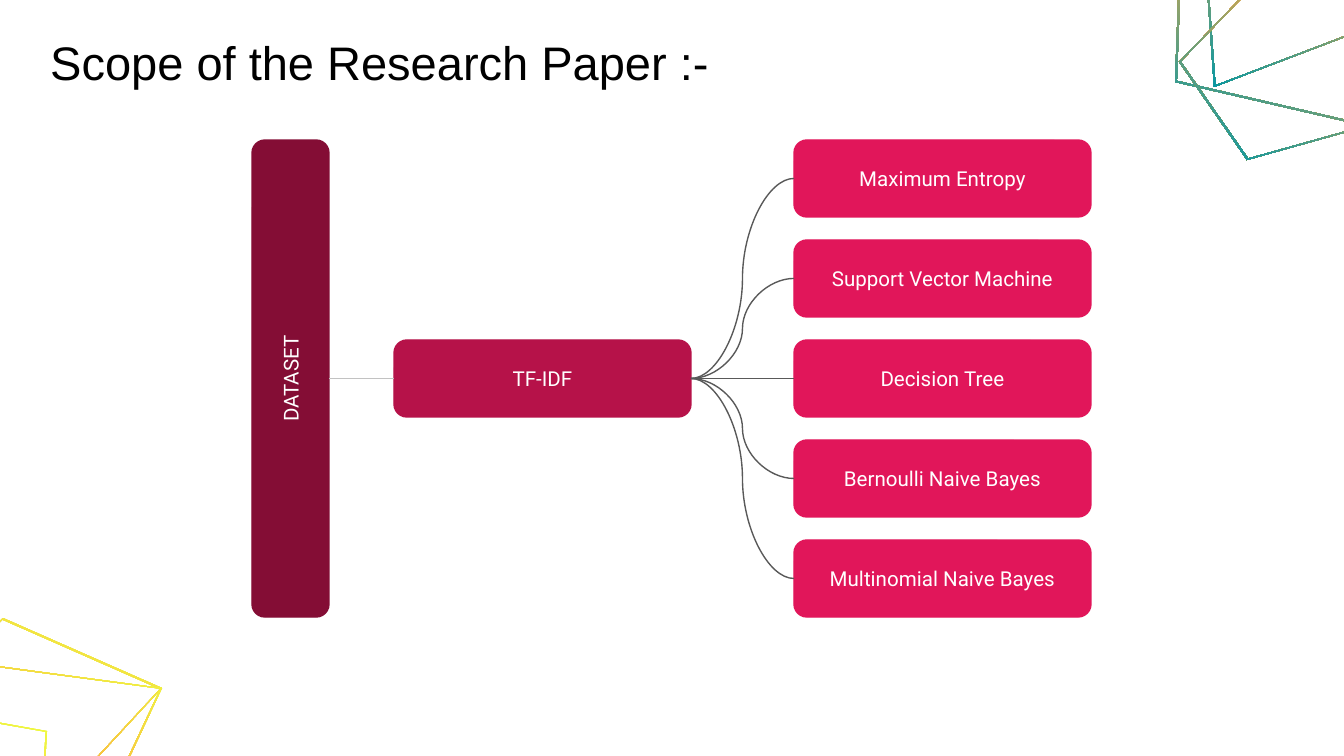
import copy

import pptx
import pptx.util
import pptx.dml.color
import pptx.enum.shapes
import pptx.enum.text
import pptx.oxml.ns
import lxml.etree

PX = 6804
RGB = pptx.dml.color.RGBColor
SHAPE = pptx.enum.shapes.MSO_SHAPE
CONNECTOR = pptx.enum.shapes.MSO_CONNECTOR
ALIGN = pptx.enum.text.PP_ALIGN

WHITE = RGB(0xFF, 0xFF, 0xFF)
BLACK = RGB(0x00, 0x00, 0x00)
MAROON = RGB(0x84, 0x0D, 0x35)
CRIMSON = RGB(0xB6, 0x12, 0x49)
PINK = RGB(0xE1, 0x16, 0x5A)
PALE_GREY = RGB(0xC2, 0xC2, 0xC2)
DARK_GREY = RGB(0x59, 0x59, 0x59)
YELLOW = RGB(0xEE, 0xFF, 0x41)
ORANGE = RGB(0xFF, 0xAB, 0x40)
TEAL = RGB(0x00, 0x97, 0xA7)

NODE_W, NODE_H = 297, 77
MODELS = [
    "Maximum Entropy",
    "Support Vector Machine",
    "Decision Tree",
    "Bernoulli Naive Bayes",
    "Multinomial Naive Bayes",
]
TOP_RIGHT_FRAMES = [
    [(64, 87), (42, -224), (425, -171), (355, -24)],
    [(25, 82), (31, -81), (257, -161), (382, -142), (378, -63), (250, 134)],
    [(97, 160), (29, 62), (262, -180), (448, -103), (254, 116)],
]
BOTTOM_LEFT_FRAMES = [
    [(-267, 318), (-258, 177), (-60, 112), (47, 131), (43, 200), (-73, 369)],
    [(-148, 310), (-204, 224), (3, 18), (162, 88), (-11, 275)],
    [(-148, 310), (-167, 44), (162, 88), (102, 216)],
]


def emu(*lengths):
    return [pptx.util.Emu(round(length * PX)) for length in lengths]


def style_text(holder, text, font, size, color, align):
    frame = holder.text_frame
    frame.word_wrap = True
    frame.vertical_anchor = pptx.enum.text.MSO_ANCHOR.MIDDLE
    frame.margin_left = frame.margin_right = pptx.util.Inches(0.1)
    frame.margin_top = frame.margin_bottom = pptx.util.Inches(0.1)
    frame.text = text
    frame.paragraphs[0].alignment = align
    run = frame.paragraphs[0].runs[0]
    run.font.name = font
    run.font.size = pptx.util.Pt(size)
    run.font.color.rgb = color


def add_title(slide, left, top, width, height):
    title = slide.shapes.add_textbox(*emu(left, top, width, height))
    style_text(title, "Scope of the Research Paper :-", "Arial", 25.2, BLACK, ALIGN.LEFT)


def add_node(slide, left, top, width, height, text, color):
    node = slide.shapes.add_shape(SHAPE.ROUNDED_RECTANGLE, *emu(left, top, width, height))
    node.shadow.inherit = False
    node.fill.solid()
    node.fill.fore_color.rgb = color
    node.line.color.rgb = color
    node.line.width = pptx.util.Pt(0.75)
    style_text(node, text, "Roboto", 11, WHITE, ALIGN.CENTER)
    return node


def add_link(slide, kind, source, source_site, target, color):
    link = slide.shapes.add_connector(kind, 0, 0, 0, 0)
    link.begin_connect(source, source_site)
    link.end_connect(target, 1)
    link.line.color.rgb = color
    link.line.width = pptx.util.Pt(0.75)
    lxml.etree.SubElement(link._element.spPr, pptx.oxml.ns.qn("a:effectLst"))
    return link


def add_diagram(slide, left, top, height):
    middle = top + (height - NODE_H) / 2
    pitch = (height - NODE_H) / (len(MODELS) - 1)

    dataset = add_node(slide, left + (NODE_H - height) / 2, middle, height, NODE_H, "DATASET", MAROON)
    dataset.rotation = 270
    tf_idf = add_node(slide, left + 142, middle, NODE_W, NODE_H, "TF-IDF", CRIMSON)

    feed = add_link(slide, CONNECTOR.ELBOW, dataset, 2, tf_idf, PALE_GREY)
    feed.begin_x, feed.begin_y = emu(left + NODE_H, top + height / 2)

    for row, name in enumerate(MODELS):
        model = add_node(slide, left + 542, top + row * pitch, NODE_W, NODE_H, name, PINK)
        add_link(slide, CONNECTOR.CURVE, tf_idf, 3, model, DARK_GREY)


def fill_gradient(shape):
    shape.fill.gradient()
    shape.fill.gradient_angle = 245
    first, last = shape.fill.gradient_stops
    first.color.rgb, first.position = ORANGE, 0.5
    last.color.rgb, last.position = TEAL, 1
    stops = shape._element.spPr.find(".//" + pptx.oxml.ns.qn("a:gsLst"))
    stops.insert(0, copy.deepcopy(stops[0]))
    start = shape.fill.gradient_stops[0]
    start.color.rgb, start.position = YELLOW, 0


def add_frames(slide, left, top, frames):
    for corners in frames:
        outer = [(left + x, top + y) for x, y in corners]
        center_x = sum(x for x, _ in outer) / len(outer)
        center_y = sum(y for _, y in outer) / len(outer)
        inner = [(x + (center_x - x) * 0.01, y + (center_y - y) * 0.01) for x, y in outer]
        builder = slide.shapes.build_freeform(*emu(*outer[0]))
        builder.add_line_segments([emu(*point) for point in outer[1:]], close=True)
        builder.move_to(*emu(*inner[0]))
        builder.add_line_segments([emu(*point) for point in reversed(inner[1:])], close=True)
        frame = builder.convert_to_shape()
        frame.shadow.inherit = False
        frame.line.fill.background()
        fill_gradient(frame)


def main():
    deck = pptx.Presentation()
    deck.slide_width, deck.slide_height = emu(1344, 756)
    slide = deck.slides.add_slide(deck.slide_layouts[6])
    add_frames(slide, 1150, 0, TOP_RIGHT_FRAMES)
    add_frames(slide, 0, 600, BOTTOM_LEFT_FRAMES)
    add_diagram(slide, 252, 140, 477)
    add_title(slide, 37, 30, 757, 63)
    deck.save("out.pptx")


if __name__ == "__main__":
    main()
